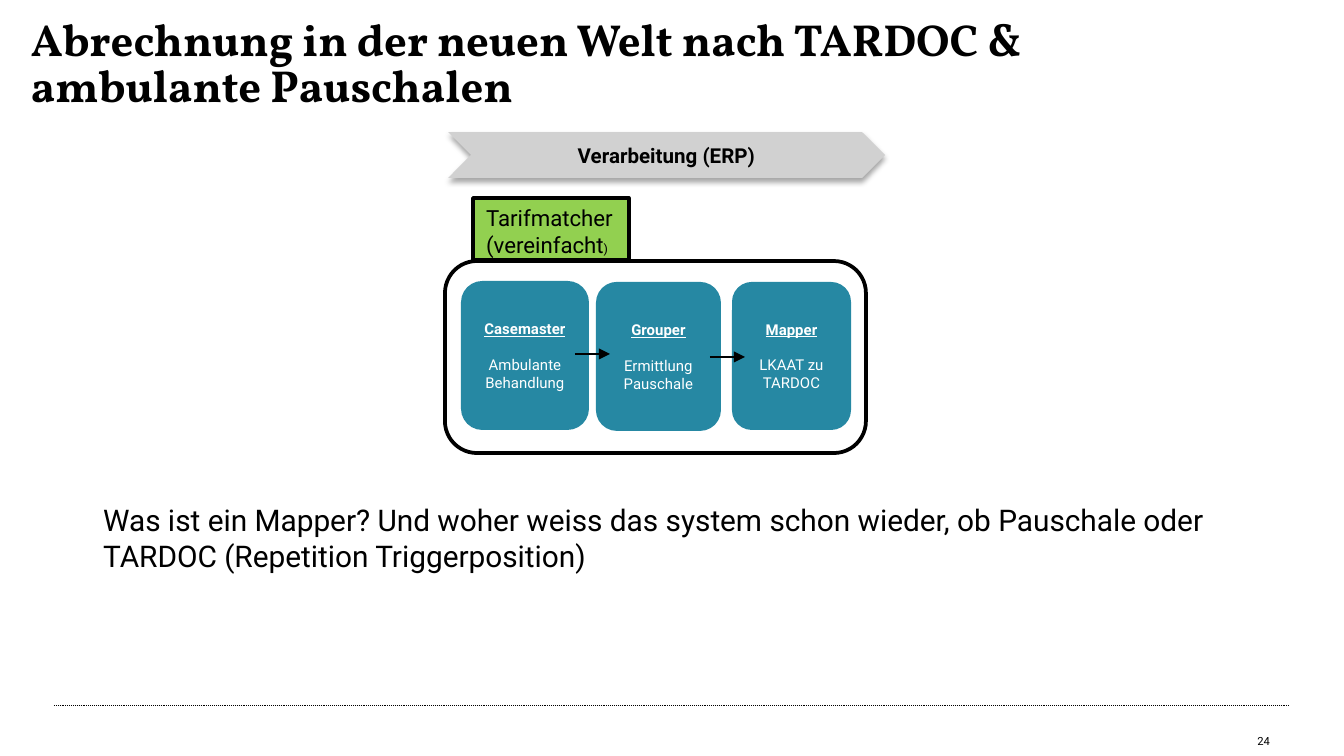
from lxml.etree import SubElement
from pptx import Presentation
from pptx.dml.color import RGBColor
from pptx.enum.dml import MSO_LINE_DASH_STYLE as Dash
from pptx.enum.shapes import MSO_CONNECTOR_TYPE as Link, MSO_SHAPE as Shape
from pptx.enum.text import MSO_ANCHOR as Anchor, PP_ALIGN as Align
from pptx.oxml.ns import qn
from pptx.util import Emu, Pt

COLORS = {
    "ink": "000000",
    "white": "FFFFFF",
    "band": "D1D1D1",
    "step": "2688A3",
    "matcher": "92D050",
}
PX = 914400 / 134.4


def px(*lengths):
    return [Emu(round(length * PX)) for length in lengths]


def color(name):
    return RGBColor.from_string(COLORS[name])


class SlideBuilder:
    body_font = "Roboto"
    title_font = "Vollkorn"

    def __init__(self, slide):
        self.shapes = slide.shapes

    def style(self, run, size, ink="ink", bold=False, underline=False, font=None):
        run.font.name = font or self.body_font
        run.font.size = Pt(size)
        run.font.bold = bold
        run.font.underline = underline
        run.font.color.rgb = color(ink)

    def text(self, box, words, size, inset=True, anchor=Anchor.TOP,
             align=Align.LEFT, **style):
        label = self.shapes.add_textbox(*px(*box))
        frame = label.text_frame
        frame.word_wrap = True
        frame.vertical_anchor = anchor
        if not inset:
            frame.margin_left = frame.margin_right = 0
            frame.margin_top = frame.margin_bottom = 0
        frame.text = words
        frame.paragraphs[0].alignment = align
        self.style(frame.paragraphs[0].runs[0], size, **style)
        return frame

    def shape(self, kind, box, fill=None, line=None):
        block = self.shapes.add_shape(kind, *px(*box))
        block.shadow.inherit = False
        if fill:
            block.fill.solid()
            block.fill.fore_color.rgb = color(fill)
        else:
            block.fill.background()
        if line:
            block.line.color.rgb = color("ink")
            block.line.width = Pt(line)
        else:
            block.line.fill.background()
        return block

    def band(self, box, words, size):
        band = self.shape(Shape.CHEVRON, box, "band")
        effects = band._element.spPr.find(qn("a:effectLst"))
        shadow = SubElement(effects, qn("a:outerShdw"), blurRad=str(Pt(3.1)),
                            dist=str(Pt(1.8)), dir="5400000", rotWithShape="0")
        tint = SubElement(shadow, qn("a:srgbClr"), val=COLORS["ink"])
        SubElement(tint, qn("a:alpha"), val="35000")
        frame = band.text_frame
        frame.word_wrap = False
        frame.vertical_anchor = Anchor.MIDDLE
        frame.text = words
        frame.paragraphs[0].alignment = Align.CENTER
        self.style(frame.paragraphs[0].runs[0], size, bold=True)

    def step(self, box, name, task):
        frame = self.shape(Shape.ROUNDED_RECTANGLE, box, "step").text_frame
        frame.word_wrap = True
        frame.vertical_anchor = Anchor.MIDDLE
        frame.text = f"{name}\n{task}"
        heading, detail = frame.paragraphs
        heading.alignment = detail.alignment = Align.CENTER
        detail.space_before = Pt(9.4)
        self.style(heading.runs[0], 8, "white", bold=True, underline=True)
        self.style(detail.runs[0], 8, "white")

    def tab(self, box, words, closing):
        frame = self.shape(Shape.RECTANGLE, box, "matcher", 1.75).text_frame
        frame.word_wrap = True
        frame.vertical_anchor = Anchor.TOP
        frame.text = words
        label = frame.paragraphs[0]
        label.alignment = Align.LEFT
        self.style(label.runs[0], 11.9)
        bracket = label.add_run()
        bracket.text = closing
        self.style(bracket, 6.7)

    def line(self, left, right, y, width, dash=None, arrow=False):
        link = self.shapes.add_connector(Link.STRAIGHT, *px(left, y, right, y))
        link.line.color.rgb = color("ink")
        link.line.width = Pt(width)
        if dash:
            link.line.dash_style = dash
        if arrow:
            SubElement(link.line._get_or_add_ln(), qn("a:tailEnd"), type="triangle")
        SubElement(link._element.spPr, qn("a:effectLst"))


def main():
    deck = Presentation()
    deck.slide_width, deck.slide_height = px(1344, 756)
    page = SlideBuilder(deck.slides.add_slide(deck.slide_layouts[6]))

    # Footer rule, title and page number
    page.line(54, 1290, 706, 0.5, dash=Dash.ROUND_DOT)
    title = page.text((31, 20, 1195, 109),
                      "Abrechnung in der neuen Welt nach TARDOC & ambulante Pauschalen",
                      24, inset=False, bold=True, font=page.title_font)
    title.paragraphs[0].line_spacing = 0.85
    page.text((1180, 735, 90, 13), "24", 6, inset=False,
              anchor=Anchor.BOTTOM, align=Align.RIGHT)

    # Processing phase
    page.band((448, 132, 437, 46), "Verarbeitung (ERP)", 11)

    # Matcher with its three steps
    page.shape(Shape.ROUNDED_RECTANGLE, (445, 261, 421, 192), line=2)
    steps = [
        ((461, 281, 128, 149), "Casemaster", "Ambulante Behandlung"),
        ((596, 282, 125, 149), "Grouper", "Ermittlung Pauschale"),
        ((732, 282, 119, 148), "Mapper", "LKAAT zu TARDOC"),
    ]
    for box, name, task in steps:
        page.step(box, name, task)
    page.tab((473, 198, 156, 62), "Tarifmatcher (vereinfacht", ")")
    for start, y in ((575, 354), (710, 357)):
        page.line(start, start + 35, y, 0.75, arrow=True)

    # Question
    page.text((90, 495, 1133, 86),
              "Was ist ein Mapper? Und woher weiss das system schon wieder, "
              "ob Pauschale oder TARDOC (Repetition Triggerposition)", 16)

    deck.save("out.pptx")


if __name__ == "__main__":
    main()
